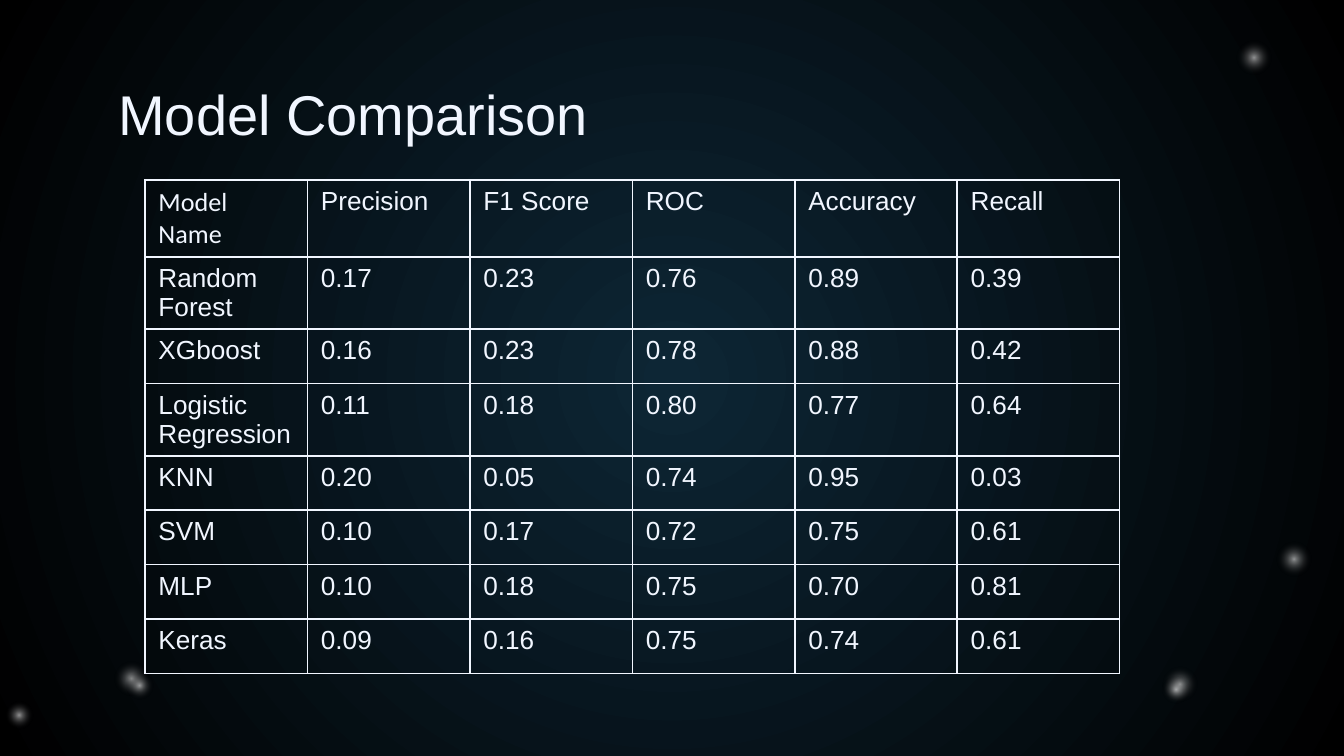
from lxml.etree import SubElement
from pptx import Presentation
from pptx.dml.color import RGBColor
from pptx.enum.shapes import MSO_SHAPE as Preset
from pptx.enum.text import MSO_ANCHOR as Anchor, PP_ALIGN as Align
from pptx.oxml import parse_xml
from pptx.oxml.ns import nsdecls, qn
from pptx.util import Pt

COLORS = {"text": "F1F6FF", "glow": "FFFFFF", "night": "0D2635", "black": "000000"}
SKY_STOPS = [(0, "night", 100), (100, "black", 100)]
STAR_STOPS = [(0, "glow", 57), (28, "black", 0), (100, "black", 0)]
LARGE_STAR, SMALL_STAR = 47.4, 37.6
STARS = [
    (46.8, 339.8, LARGE_STAR),
    (648, 7.2, LARGE_STAR),
    (608.4, 342.7, LARGE_STAR),
    (669.6, 275.8, LARGE_STAR),
    (56, 348.5, SMALL_STAR),
    (-8.6, 364.3, SMALL_STAR),
    (611.3, 350.6, SMALL_STAR),
]
ROWS = [
    ["Model Name", "Precision", "F1 Score", "ROC", "Accuracy", "Recall"],
    ["Random Forest", "0.17", "0.23", "0.76", "0.89", "0.39"],
    ["XGboost", "0.16", "0.23", "0.78", "0.88", "0.42"],
    ["Logistic Regression", "0.11", "0.18", "0.80", "0.77", "0.64"],
    ["KNN", "0.20", "0.05", "0.74", "0.95", "0.03"],
    ["SVM", "0.10", "0.17", "0.72", "0.75", "0.61"],
    ["MLP", "0.10", "0.18", "0.75", "0.70", "0.81"],
    ["Keras", "0.09", "0.16", "0.75", "0.74", "0.61"],
]
COLUMN_WIDTH, ROW_HEIGHT = 87.05, 29.15


def set_values(target, values):
    for name, value in values.items():
        setattr(target, name, value)


def format_text(para, size, face):
    set_values(para.font, {"size": Pt(size), "name": face, "bold": False})
    para.font.color.rgb = RGBColor.from_string(COLORS["text"])


def set_radial_fill(fill, element, stops):
    fill.solid()
    solid = element.find(f".//{qn('a:solidFill')}")
    marks = "".join(
        f'<a:gs pos="{place * 1000}"><a:srgbClr val="{COLORS[color]}">'
        f'<a:alpha val="{opacity * 1000}"/></a:srgbClr></a:gs>'
        for place, color, opacity in stops
    )
    gradient = parse_xml(
        f'<a:gradFill rotWithShape="1" {nsdecls("a")}><a:gsLst>{marks}</a:gsLst>'
        '<a:path path="circle"><a:fillToRect l="50000" t="50000" r="50000" b="50000"/>'
        "</a:path></a:gradFill>"
    )
    solid.getparent().replace(solid, gradient)


def add_star(page, left, top, size):
    star = page.shapes.add_shape(Preset.OVAL, Pt(left), Pt(top), Pt(size), Pt(size))
    star.shadow.inherit = False
    star.line.fill.background()
    set_radial_fill(star.fill, star.element, STAR_STOPS)


def set_title(page, text):
    title = page.shapes.title
    set_values(title, {"left": Pt(56.2), "top": Pt(32.4), "width": Pt(607.7), "height": Pt(45.4)})
    frame = title.text_frame
    set_values(frame, {
        "text": text,
        "word_wrap": True,
        "vertical_anchor": Anchor.TOP,
        "margin_left": Pt(7.2),
        "margin_right": Pt(7.2),
        "margin_top": Pt(10.1),
        "margin_bottom": Pt(0),
    })
    para = frame.paragraphs[0]
    para.alignment = Align.LEFT
    format_text(para, 30, "Arial")


def set_borders(cell):
    properties = cell._tc.get_or_add_tcPr()
    for index, side in enumerate(("lnL", "lnR", "lnT", "lnB")):
        line = SubElement(properties, qn(f"a:{side}"), w=str(Pt(1)))
        fill = SubElement(line, qn("a:solidFill"))
        SubElement(fill, qn("a:srgbClr"), val=COLORS["text"])
        properties.insert(index, line)


def add_score_table(page, rows):
    count, width = len(rows), len(rows[0])
    table = page.shapes.add_table(
        count, width, Pt(77.7), Pt(96.4), Pt(width * COLUMN_WIDTH), Pt(count * ROW_HEIGHT)
    ).table
    set_values(table, {"first_row": False, "horz_banding": False})
    for column in table.columns:
        column.width = Pt(COLUMN_WIDTH)
    for r, values in enumerate(rows):
        table.rows[r].height = Pt(ROW_HEIGHT)
        for c, value in enumerate(values):
            cell = table.cell(r, c)
            cell.text = value
            cell.fill.background()
            set_borders(cell)
            format_text(cell.text_frame.paragraphs[0], 14, "Arial" if r or c else "Calibri")


def main():
    deck = Presentation()
    set_values(deck, {"slide_width": Pt(720), "slide_height": Pt(405)})
    page = deck.slides.add_slide(deck.slide_layouts[5])
    set_radial_fill(page.background.fill, page.element, SKY_STOPS)
    for star in STARS:
        add_star(page, *star)
    set_title(page, "Model Comparison")
    add_score_table(page, ROWS)
    deck.save("out.pptx")


if __name__ == "__main__":
    main()
